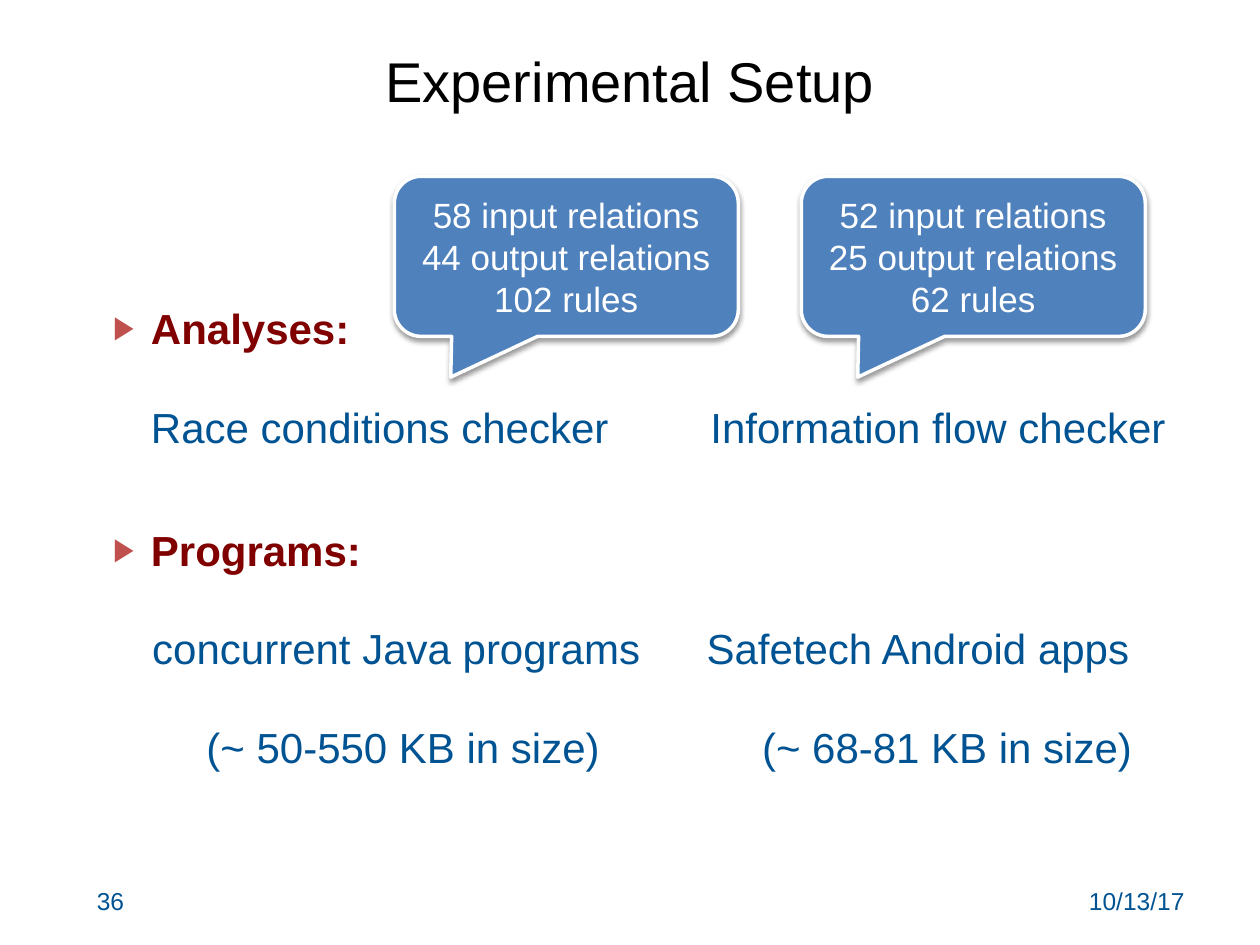
from lxml import etree
from pptx import Presentation
from pptx.dml.color import RGBColor
from pptx.enum.shapes import MSO_SHAPE as SHAPE
from pptx.enum.text import MSO_ANCHOR as ANCHOR, PP_ALIGN as ALIGN
from pptx.oxml import parse_xml
from pptx.oxml.ns import nsdecls, qn
from pptx.util import Inches, Pt

COLORS = {"title": "000000", "text": "005392", "heading": "800000",
          "bullet": "C0504D", "callout": "4F81BD", "white": "FFFFFF"}
FONT = "Arial"
TITLE = "Experimental Setup"
HEADINGS = ["Analyses:", "Programs:"]
CALLOUTS = [
    ["58 input relations", "44 output relations", "102 rules"],
    ["52 input relations", "25 output relations", "62 rules"],
]
ROWS = [
    (1.1, 3.14, 4.44, "Race conditions checker", "Information flow checker"),
    (1.11, 4.89, 4.4, "concurrent Java programs", "Safetech Android apps"),
    (1.54, 5.68, 4.41, "(~ 50-550 KB in size)", "(~ 68-81 KB in size)"),
]
FOOTERS = [("10/13/17", 7, 2.5, ALIGN.RIGHT), ("36", 0.67, 0.89, ALIGN.LEFT)]
SHADOW = (
    f'<a:effectLst {nsdecls("a")}><a:outerShdw blurRad="{Pt(3)}" dist="{Pt(2)}" '
    'dir="5400000" rotWithShape="0"><a:srgbClr val="000000"><a:alpha val="40000"/>'
    '</a:srgbClr></a:outerShdw></a:effectLst>'
)


def add_run(p, text, size, color, bold=False):
    r = p.add_run()
    r.text = text
    r.font.name, r.font.size, r.font.bold = FONT, Pt(size), bold
    r.font.color.rgb = RGBColor.from_string(COLORS[color])


def add_box(s, x, y, w, h):
    tf = s.shapes.add_textbox(Inches(x), Inches(y), Inches(w), Inches(h)).text_frame
    tf.word_wrap = True
    return tf


def next_paragraph(tf, i):
    return tf.add_paragraph() if i else tf.paragraphs[0]


def add_title(s):
    sp = s.shapes.title
    sp.left, sp.top, sp.width, sp.height = map(Inches, (0.5, 0.17, 9, 0.93))
    sp.text_frame.vertical_anchor = ANCHOR.MIDDLE
    p = sp.text_frame.paragraphs[0]
    p.alignment = ALIGN.CENTER
    add_run(p, TITLE, 32, "title")


def add_headings(s):
    tf = add_box(s, 0.5, 2.35, 9, 2.4)
    for i, heading in enumerate(HEADINGS):
        p = next_paragraph(tf, i)
        pPr = p._p.get_or_add_pPr()
        pPr.set("marL", str(Inches(0.6)))
        pPr.set("indent", str(Inches(-0.3)))
        color = etree.SubElement(pPr, qn("a:buClr"))
        etree.SubElement(color, qn("a:srgbClr"), val=COLORS["bullet"])
        etree.SubElement(pPr, qn("a:buSzPct"), val="76000")
        etree.SubElement(pPr, qn("a:buFont"), typeface=FONT)
        etree.SubElement(pPr, qn("a:buChar"), char="▶")
        if i:
            p.space_before = Pt(98)
        add_run(p, heading, 24, "heading", True)


def add_callout(s, x, lines):
    sp = s.shapes.add_shape(SHAPE.ROUNDED_RECTANGULAR_CALLOUT, Inches(x),
                            Inches(1.4), Inches(2.73), Inches(1.27))
    for i, value in enumerate((-0.336, 0.755, 0.167)):
        sp.adjustments[i] = value
    sp.fill.solid()
    sp.fill.fore_color.rgb = RGBColor.from_string(COLORS["callout"])
    sp.line.color.rgb = RGBColor.from_string(COLORS["white"])
    sp.line.width = Pt(2)
    sp._element.spPr.append(parse_xml(SHADOW))
    tf = sp.text_frame
    tf.margin_left = tf.margin_right = 0
    tf.vertical_anchor = ANCHOR.MIDDLE
    for i, line in enumerate(lines):
        p = next_paragraph(tf, i)
        p.alignment = ALIGN.CENTER
        add_run(p, line, 20, "white")


def add_row(s, x, y, tab, left, right):
    p = add_box(s, x, y, 8.4, 0.5).paragraphs[0]
    tabs = etree.SubElement(p._p.get_or_add_pPr(), qn("a:tabLst"))
    etree.SubElement(tabs, qn("a:tab"), pos=str(Inches(tab)), algn="l")
    add_run(p, f"{left}\t{right}", 24, "text")


def main():
    """Build the experimental setup slide."""
    prs = Presentation()
    prs.slide_width, prs.slide_height = Inches(10), Inches(7.5)
    s = prs.slides.add_slide(prs.slide_layouts[5])
    add_title(s)
    add_headings(s)
    for i, lines in enumerate(CALLOUTS):
        add_callout(s, 3.13 + 3.23 * i, lines)
    for row in ROWS:
        add_row(s, *row)
    for text, x, w, align in FOOTERS:
        p = add_box(s, x, 6.98, w, 0.4).paragraphs[0]
        p.alignment = align
        add_run(p, text, 14, "text")
    prs.save("out.pptx")


if __name__ == "__main__":
    main()
